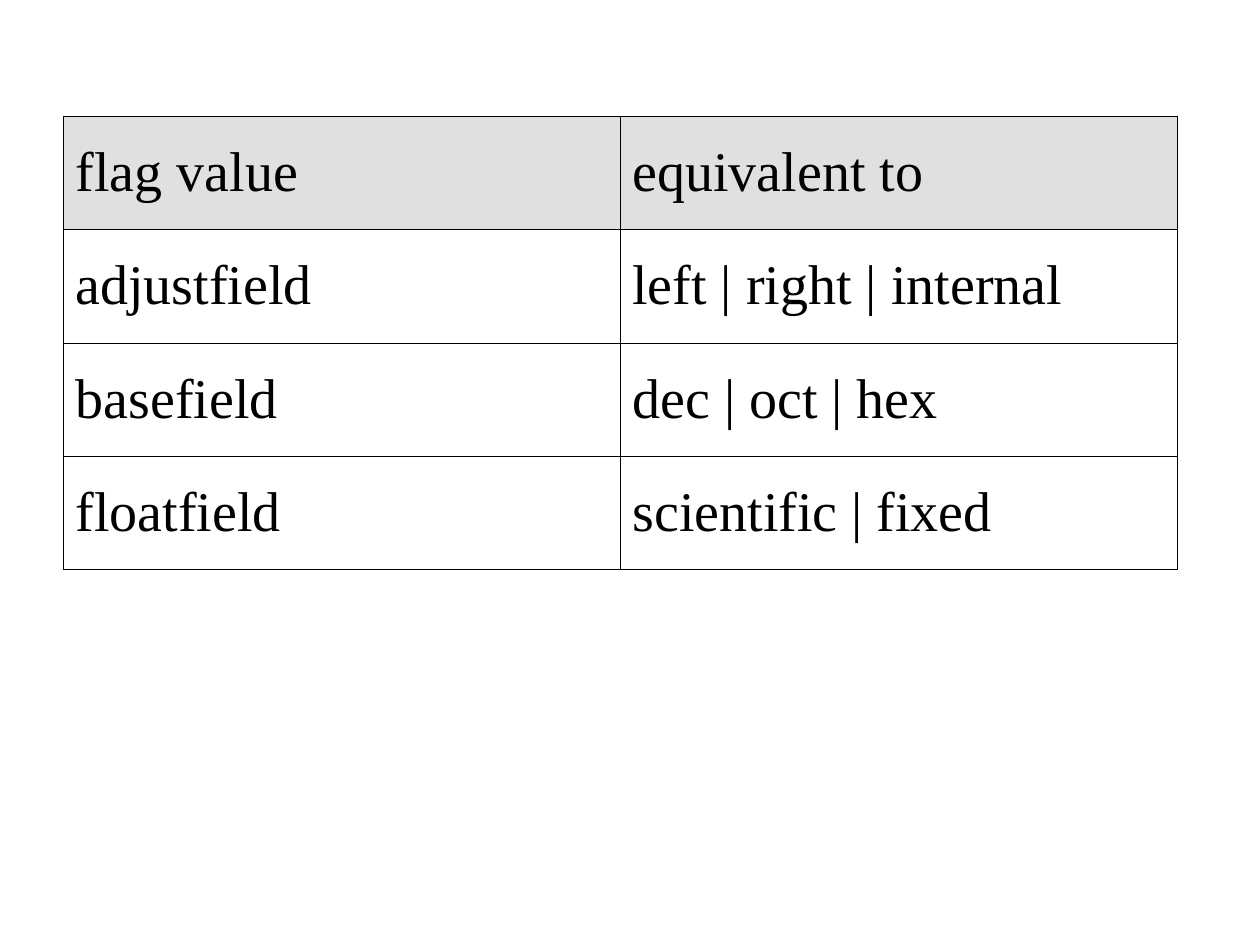
from dataclasses import dataclass

from pptx import Presentation
from pptx.dml.color import RGBColor
from pptx.enum.text import MSO_ANCHOR
from pptx.oxml import parse_xml
from pptx.oxml.ns import nsdecls
from pptx.util import Inches, Pt


@dataclass(frozen=True)
class Theme:
    font: str = "Times New Roman"
    size: float = 32
    text: str = "000000"
    border: str = "000000"
    border_width: float = 0.28
    header_fill: str = "E0E0E0"
    body_fill: str = "FFFFFF"


def write_text(tf, text, *, font, size, color):
    """Put one formatted run into a text frame."""
    r = tf.paragraphs[0].add_run()
    r.text = text
    r.font.name = font
    r.font.size = Pt(size)
    r.font.color.rgb = RGBColor.from_string(color)


class SlideBuilder:
    def __init__(self, slide, theme):
        self.slide = slide
        self.theme = theme

    def table(self, rows, left, top, col_width, row_height):
        n_rows, n_cols = len(rows), len(rows[0])
        frame = self.slide.shapes.add_table(
            n_rows, n_cols, Inches(left), Inches(top),
            Inches(col_width * n_cols), Inches(row_height * n_rows))
        table = frame.table
        table.horz_banding = False
        for col in table.columns:
            col.width = Inches(col_width)
        for i, values in enumerate(rows):
            table.rows[i].height = Inches(row_height)
            fill = self.theme.header_fill if i == 0 else self.theme.body_fill
            for j, value in enumerate(values):
                self.cell(table.cell(i, j), value, fill)

    def cell(self, cell, text, fill):
        t = self.theme
        cell.vertical_anchor = MSO_ANCHOR.MIDDLE
        self.borders(cell)
        cell.fill.solid()
        cell.fill.fore_color.rgb = RGBColor.from_string(fill)
        write_text(cell.text_frame, text, font=t.font, size=t.size, color=t.text)

    def borders(self, cell):
        # Border lines must precede the fill in the cell properties
        tc_pr = cell._tc.get_or_add_tcPr()
        for side in ("lnL", "lnR", "lnT", "lnB"):
            tc_pr.append(parse_xml(
                f'<a:{side} {nsdecls("a")} w="{Pt(self.theme.border_width)}">'
                f'<a:solidFill><a:srgbClr val="{self.theme.border}"/></a:solidFill>'
                f'</a:{side}>'))


def main():
    prs = Presentation()
    prs.slide_width, prs.slide_height = Inches(10), Inches(7.5)
    blank = prs.slide_layouts.get_by_name("Blank")
    builder = SlideBuilder(prs.slides.add_slide(blank), Theme())

    # Format flags and the values each one combines
    flags = [
        ("flag value", "equivalent to"),
        ("adjustfield", "left | right | internal"),
        ("basefield", "dec | oct | hex"),
        ("floatfield", "scientific | fixed"),
    ]
    builder.table(flags, left=0.5, top=0.92, col_width=4.42, row_height=0.9)

    prs.save("out.pptx")


if __name__ == "__main__":
    main()
